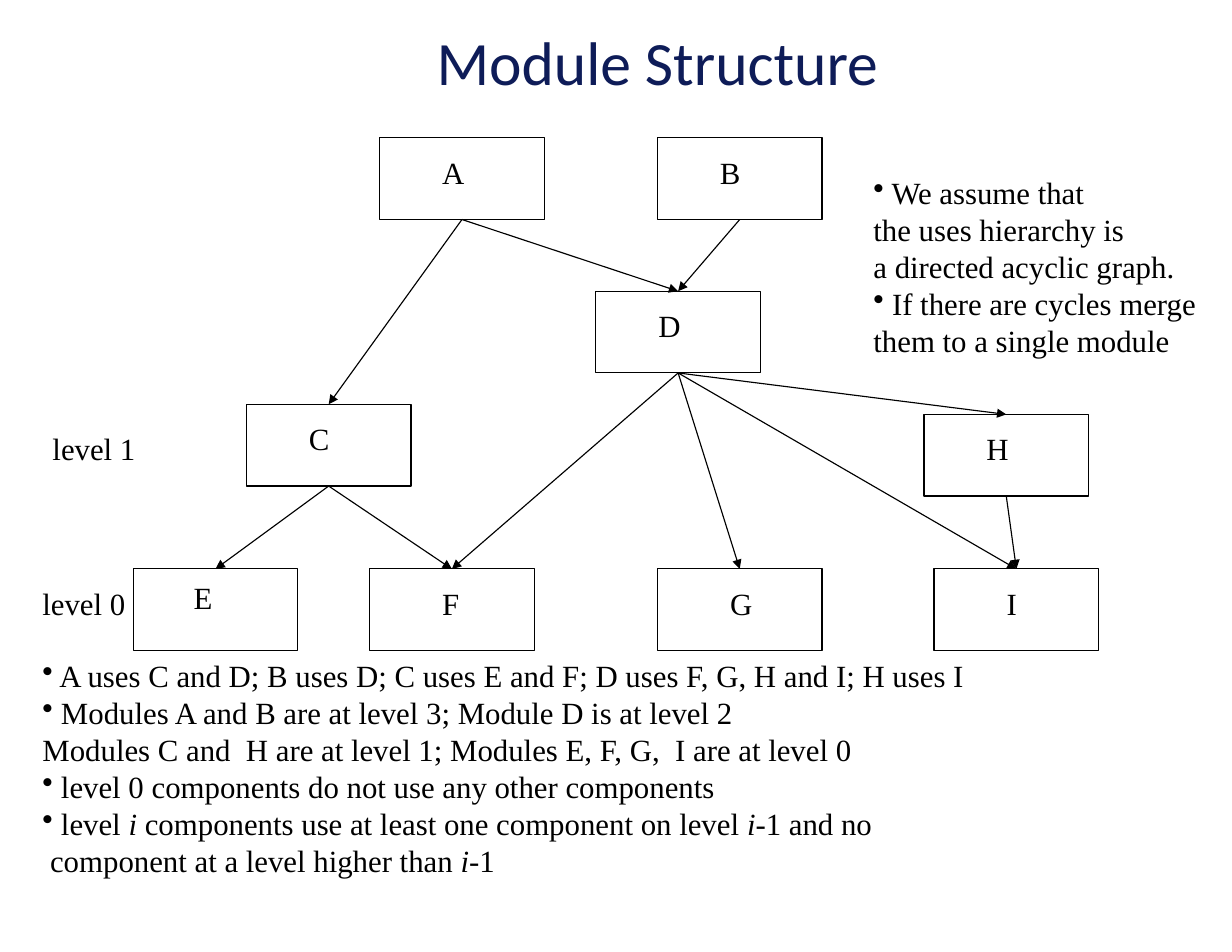
from pptx import Presentation
from pptx.dml.color import RGBColor as RGB
from pptx.enum.shapes import MSO_CONNECTOR as LINE, MSO_SHAPE as SHAPE
from pptx.enum.text import MSO_ANCHOR as ANCHOR, PP_ALIGN as ALIGN
from pptx.oxml.ns import qn
from pptx.util import Inches, Pt
from lxml.etree import SubElement

COLORS = {"title": "0E1C58", "ink": "000000", "paper": "FFFFFF"}
INK = RGB.from_string(COLORS["ink"])
WIDE, HIGH = 1.47, 0.73

deck = Presentation()
deck.slide_width, deck.slide_height = Inches(11), Inches(8.5)
slide = deck.slides.add_slide(deck.slide_layouts[5])
shapes = slide.shapes
slide.background.fill.solid()
slide.background.fill.fore_color.rgb = RGB.from_string(COLORS["paper"])


def add_text(x, y, w, h, lines):
    frame = shapes.add_textbox(Inches(x), Inches(y), Inches(w), Inches(h)).text_frame
    frame.word_wrap = False
    for i, line in enumerate(lines):
        para = frame.paragraphs[0] if i == 0 else frame.add_paragraph()
        para.line_spacing = Pt(23.8)
        if line.startswith("•"):
            props = para._p.get_or_add_pPr()
            props.set("marL", "0")
            props.set("indent", "0")
            SubElement(props, qn("a:buChar")).set("char", "•")
        for j, part in enumerate(line.removeprefix("•").split("_")):
            run = para.add_run()
            run.text = part
            run.font.name = "Times New Roman"
            run.font.size = Pt(19.8)
            run.font.color.rgb = INK
            if j % 2:
                run.font.italic = True


title = shapes.title
title.left, title.top = Inches(1.29), Inches(0.07)
title.width, title.height = Inches(9.16), Inches(0.95)
title.text_frame.text = "Module Structure"
title.text_frame.vertical_anchor = ANCHOR.MIDDLE
head = title.text_frame.paragraphs[0]
head.alignment = ALIGN.CENTER
font = head.runs[0].font
font.name, font.size = "Calibri", Pt(39.6)
font.color.rgb = RGB.from_string(COLORS["title"])

# name: box left, box top, label shift right, label shift down, label width
modules = {
    "A": (3.39, 1.23, 0.46, 0.09, 0.4),
    "B": (5.87, 1.23, 0.46, 0.09, 0.39),
    "C": (2.2, 3.61, 0.46, 0.09, 0.39),
    "D": (5.32, 2.6, 0.46, 0.09, 0.4),
    "E": (1.19, 5.08, 0.44, 0.04, 0.37),
    "F": (3.3, 5.08, 0.55, 0.09, 0.36),
    "G": (5.87, 5.08, 0.55, 0.09, 0.4),
    "H": (8.25, 3.7, 0.46, 0.09, 0.4),
    "I": (8.34, 5.08, 0.55, 0.09, 0.29),
}
boxes = {}
for name, (x, y, right, down, width) in modules.items():
    box = shapes.add_shape(SHAPE.RECTANGLE, Inches(x), Inches(y), Inches(WIDE), Inches(HIGH))
    box.shadow.inherit = False
    box.fill.background()
    box.line.color.rgb = INK
    box.line.width = Pt(0.75)
    boxes[name] = box
    add_text(x + right, y + down, width, 0.43, [name])

uses = {"A": "CD", "B": "D", "C": "EF", "D": "FGHI", "H": "I"}
for user, targets in uses.items():
    for used in targets:
        arrow = shapes.add_connector(LINE.STRAIGHT, 0, 0, 0, 0)
        arrow.begin_connect(boxes[user], 2)
        arrow.end_connect(boxes[used], 0)
        arrow.line.color.rgb = INK
        arrow.line.width = Pt(0.75)
        SubElement(arrow.line._get_or_add_ln(), qn("a:tailEnd")).set("type", "triangle")
        SubElement(arrow._element.spPr, qn("a:effectLst"))

add_text(0.37, 3.79, 0.95, 0.43, ["level 1"])
add_text(0.28, 5.17, 0.96, 0.43, ["level 0"])
add_text(7.7, 1.5, 3.11, 1.77, [
    "• We assume that",
    "the uses hierarchy is",
    "a directed acyclic graph.",
    "• If there are cycles merge",
    "them to a single module",
])
add_text(0.28, 5.81, 8.52, 2.1, [
    "• A uses C and D; B uses D; C uses E and F; D uses F, G, H and I; H uses I",
    "• Modules A and B are at level 3; Module D is at level 2",
    "Modules C and  H are at level 1; Modules E, F, G,  I are at level 0",
    "• level 0 components do not use any other components",
    "• level _i_ components use at least one component on level _i_-1 and no",
    " component at a level higher than _i_-1",
])

deck.save("out.pptx")
